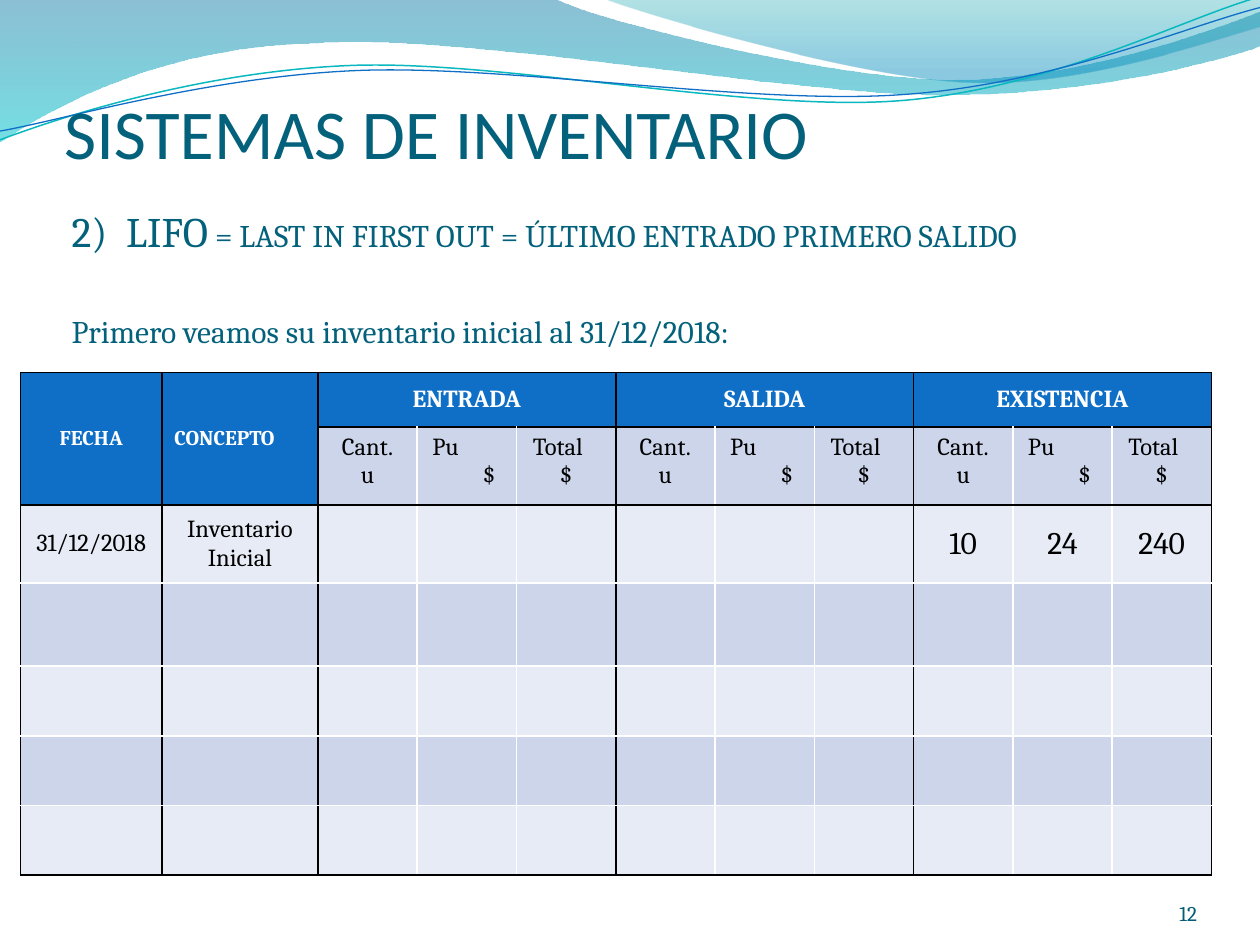
import math
from dataclasses import dataclass
from typing import Optional

from lxml import etree
from pptx import Presentation
from pptx import util as u
from pptx.dml.color import RGBColor
from pptx.enum import text
from pptx.oxml.ns import qn

# The slide is a grid of 100 columns by 75 rows
WIDTH, HEIGHT = u.Inches(10), u.Inches(7.5)
COLUMN, ROW = WIDTH / 100, HEIGHT / 75

WHITE, BLACK, BLUE = "FFFFFF", "000000", "0F6FC6"
TEAL, PAGE_TEAL = "04617B", "045D75"
DARK_BAND, LIGHT_BAND = "CCD5EA", "E7EBF5"
LEFT, CENTER, RIGHT = (text.PP_ALIGN.LEFT, text.PP_ALIGN.CENTER, text.PP_ALIGN.RIGHT)
TOP, MIDDLE, BOTTOM = (text.MSO_ANCHOR.TOP, text.MSO_ANCHOR.MIDDLE, text.MSO_ANCHOR.BOTTOM)


@dataclass
class Wave:
    """Outline of steps: two numbers for a line, six for a curve."""
    start: tuple
    steps: list
    stops: tuple = ()  # position, colour, opacity in percent
    line: Optional[str] = None
    weight: float = 0
    tilt: float = 0  # degrees around the pivot
    pivot: tuple = (0, 0)


@dataclass
class Label:
    words: str
    align: text.PP_ALIGN = CENTER
    indent: float = 0  # grid columns


WAVES = [
    Wave((0, 0), [(44, -.1), (47.6, 1.7, 66.4, 6.3, 75.8, 6.3),
                  (85.3, 6.3, 95.8, 2.6, 100, .9), (100.1, 3.6),
                  (98.3, 4.4, 87, 7.6, 74.6, 7.5),
                  (62.2, 7.5, 38.2, 2.8, 25.7, 3.4),
                  (12.9, 3.6, 4.6, 8.3, -.1, 11.3), (0, 0)],
         stops=((0, "0074A1", 45), (1, "00C6CF", 55))),
    Wave((47.9, -.1), [(50.9, 1.1, 68.2, 6.2, 76.9, 6.5),
                       (85.6, 6.9, 96.1, 3.2, 100, 2.1), (100, 0), (47.9, -.1)],
         stops=((0, "00A1A9", 30), (.8, "008BBF", 45))),
    Wave((0, 11.1), [(4.8, 9.3, 15.8, 5.7, 27.7, 5.2),
                     (39.5, 4.7, 59.3, 8.9, 71.3, 8),
                     (83.3, 7.1, 93.8, 1.5, 99.8, -.2)],
         line="0AB8BF", weight=.85, tilt=-2.7, pivot=(49.9, 5.75)),
    Wave((0, 10.4), [(4.7, 9.6, 16.4, 6.1, 28.3, 5.6),
                     (40.3, 5.1, 59.7, 8.4, 71.7, 7.5),
                     (83.6, 6.7, 94.1, 2.1, 100, .6)],
         line=BLUE, weight=.75, tilt=-2.7, pivot=(49.95, 5.9)),
]

# Table: two lead columns, then three groups of three
GROUPS = ["ENTRADA", "SALIDA", "EXISTENCIA"]
GROUP_STARTS = [2, 5, 8]
MEASURES = [
    [Label("Cant."), Label("u")],
    [Label("Pu", LEFT, .2), Label("$", LEFT, 4.2)],
    [Label("Total", LEFT, .3), Label("$")],
]
COLUMN_WIDTHS = [11.2, 12.4] + [7.88] * 9
ROW_HEIGHTS = [4.3, 6.2, 6.2, 6.6] + [5.53] * 3


def color(hex_value: str) -> RGBColor:
    return RGBColor.from_string(hex_value)


def x(columns: float) -> int:
    return round(columns * COLUMN)


def y(rows: float) -> int:
    return round(rows * ROW)


def write(paragraph, words: str, *, size: float, ink: str, font: str = "Cambria",
          bold: bool = False, align=LEFT, indent: float = 0) -> None:
    """Add one formatted run to a paragraph."""
    if indent:
        paragraph._p.get_or_add_pPr().set("marL", str(x(indent)))
    paragraph.alignment = align
    run = paragraph.add_run()
    run.text = words
    run.font.size, run.font.name, run.font.bold = u.Pt(size), font, bold
    run.font.color.rgb = color(ink)


def add_box(slide, left: float, top: float, width: float, height: float,
            insets: tuple = (1, .5, 1, .5), anchor=TOP):
    """Add a wrapped text box and return its first paragraph."""
    frame = slide.shapes.add_textbox(x(left), y(top), x(width), y(height)).text_frame
    frame.word_wrap, frame.vertical_anchor = True, anchor
    frame.margin_left, frame.margin_right = x(insets[0]), x(insets[2])
    frame.margin_top, frame.margin_bottom = y(insets[1]), y(insets[3])
    return frame.paragraphs[0]


def level(point: tuple, wave: Wave) -> tuple:
    """Undo the tilt of a wave, which the shape's rotation then applies."""
    angle = math.radians(-wave.tilt)
    dx, dy = point[0] - wave.pivot[0], point[1] - wave.pivot[1]
    return (x(wave.pivot[0] + dx * math.cos(angle) - dy * math.sin(angle)),
            y(wave.pivot[1] + dx * math.sin(angle) + dy * math.cos(angle)))


def bend(shape, steps: list) -> None:
    """Join each three line segments of a curve step into one Bezier."""
    segments = iter(list(shape._element.iter(qn("a:lnTo"))))
    for step in steps:
        first = next(segments)
        if len(step) == 2:
            continue
        first.addprevious(curve := etree.Element(qn("a:cubicBezTo")))
        for segment in (first, next(segments), next(segments)):
            curve.append(segment[0])
            segment.getparent().remove(segment)


def draw_wave(slide, wave: Wave) -> None:
    points = [level(step[i:i + 2], wave) for step in wave.steps
              for i in range(0, len(step), 2)]
    builder = slide.shapes.build_freeform(*level(wave.start, wave))
    builder.add_line_segments(points, close=bool(wave.stops))
    shape = builder.convert_to_shape()
    bend(shape, wave.steps)
    shape.rotation = wave.tilt
    shape.shadow.inherit = False
    if wave.line:
        shape.fill.background()
        shape.line.color.rgb = color(wave.line)
        shape.line.width = u.Pt(wave.weight)
        return
    shape.line.fill.background()
    shape.fill.gradient()
    shape.fill.gradient_angle = 270
    for stop, (position, tint, _) in zip(shape.fill.gradient_stops, wave.stops):
        stop.position, stop.color.rgb = position, color(tint)
    tints = shape._element.spPr.iter(qn("a:srgbClr"))
    for node, (_, _, opacity) in zip(tints, wave.stops):
        etree.SubElement(node, qn("a:alpha"), val=str(opacity * 1000))


def style_cell(cell, row: int, column: int) -> None:
    """Set borders first, then the fill, as the cell properties require."""
    header = row == 0 or (row == 1 and column < 2)
    black = {
        "L": header or column in (0, 1, *GROUP_STARTS),
        "R": header or column in (0, 1, 4, 7, 10),
        "T": row <= 2,
        "B": row in (0, 1, len(ROW_HEIGHTS) - 1),
    }
    properties = cell._tc.get_or_add_tcPr()
    for side, is_black in black.items():
        line = etree.SubElement(properties, qn("a:ln" + side), w=str(u.Pt(1)))
        fill = etree.SubElement(line, qn("a:solidFill"))
        etree.SubElement(fill, qn("a:srgbClr"), val=BLACK if is_black else WHITE)
    cell.fill.solid()
    band = DARK_BAND if row % 2 else LIGHT_BAND
    cell.fill.fore_color.rgb = color(BLUE if header else band)


def fill_cell(cell, labels: list, *, anchor=MIDDLE, size: float = 14,
              ink: str = BLACK, bold: bool = False) -> None:
    cell.vertical_anchor = anchor
    frame = cell.text_frame
    for i, label in enumerate(labels):
        paragraph = frame.add_paragraph() if i else frame.paragraphs[0]
        write(paragraph, label.words, size=size, ink=ink, bold=bold,
              align=label.align, indent=label.indent)


def draw_inventory(slide) -> None:
    table = slide.shapes.add_table(
        len(ROW_HEIGHTS), len(COLUMN_WIDTHS), x(1.64), y(29.58),
        x(sum(COLUMN_WIDTHS)), y(sum(ROW_HEIGHTS))).table
    table.first_row = table.horz_banding = False
    for column, width in zip(table.columns, COLUMN_WIDTHS):
        column.width = x(width)
    for r, height in enumerate(ROW_HEIGHTS):
        table.rows[r].height = y(height)
        for c in range(len(COLUMN_WIDTHS)):
            style_cell(table.cell(r, c), r, c)
    # Headings
    for c, label in enumerate([Label("FECHA"), Label("CONCEPTO", LEFT)]):
        table.cell(0, c).merge(table.cell(1, c))
        fill_cell(table.cell(0, c), [label], size=12, ink=WHITE, bold=True)
    for first, group in zip(GROUP_STARTS, GROUPS):
        table.cell(0, first).merge(table.cell(0, first + 2))
        fill_cell(table.cell(0, first), [Label(group)], ink=WHITE, bold=True)
        for offset, labels in enumerate(MEASURES):
            fill_cell(table.cell(1, first + offset), labels, anchor=TOP)
    # Opening stock
    for c, words in enumerate(["31/12/2018", "Inventario Inicial"]):
        fill_cell(table.cell(2, c), [Label(words)])
    for c, amount in enumerate(["10", "24", "240"], start=GROUP_STARTS[-1]):
        fill_cell(table.cell(2, c), [Label(amount)], size=18)


def main() -> None:
    deck = Presentation()
    deck.slide_width, deck.slide_height = WIDTH, HEIGHT
    slide = deck.slides.add_slide(deck.slide_layouts[6])
    for wave in WAVES:
        draw_wave(slide, wave)
    # Title and page number
    title = add_box(slide, 5.1, 6.6, 90, 12.5, insets=(0, .5, 0, 0))
    write(title, "SISTEMAS DE INVENTARIO", size=40, ink=TEAL, font="Calibri")
    page = add_box(slide, 86.7, 69.5, 8.3, 4, insets=(0, 0, 0, 0), anchor=BOTTOM)
    write(page, "12", size=12, ink=PAGE_TEAL, align=RIGHT)
    draw_inventory(slide)
    # Method, with a tab after its number
    method = add_box(slide, 4.7, 15.8, 87.4, 5)
    tabs = etree.SubElement(method._p.get_or_add_pPr(), qn("a:tabLst"))
    etree.SubElement(tabs, qn("a:tab"), pos=str(x(4.33)), algn="l")
    write(method, "2)\tLIFO", size=24, ink=TEAL)
    write(method, " = LAST IN FIRST OUT = ÚLTIMO ENTRADO PRIMERO SALIDO", size=18, ink=TEAL)
    opening = add_box(slide, 4.7, 24.3, 88.3, 4)
    write(opening, "Primero veamos su inventario inicial al 31/12/2018:", size=18, ink=TEAL)
    deck.save("out.pptx")


if __name__ == "__main__":
    main()
